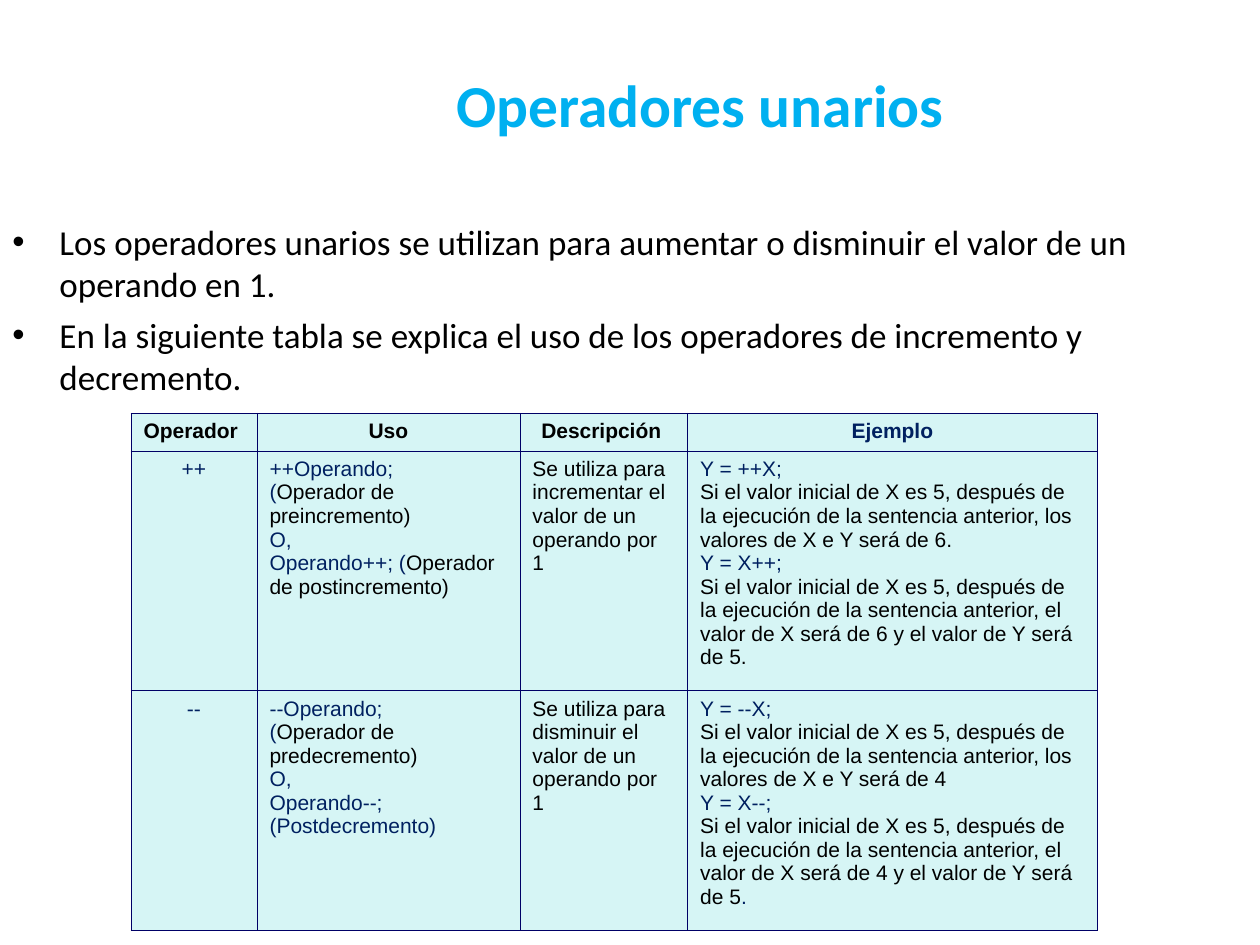
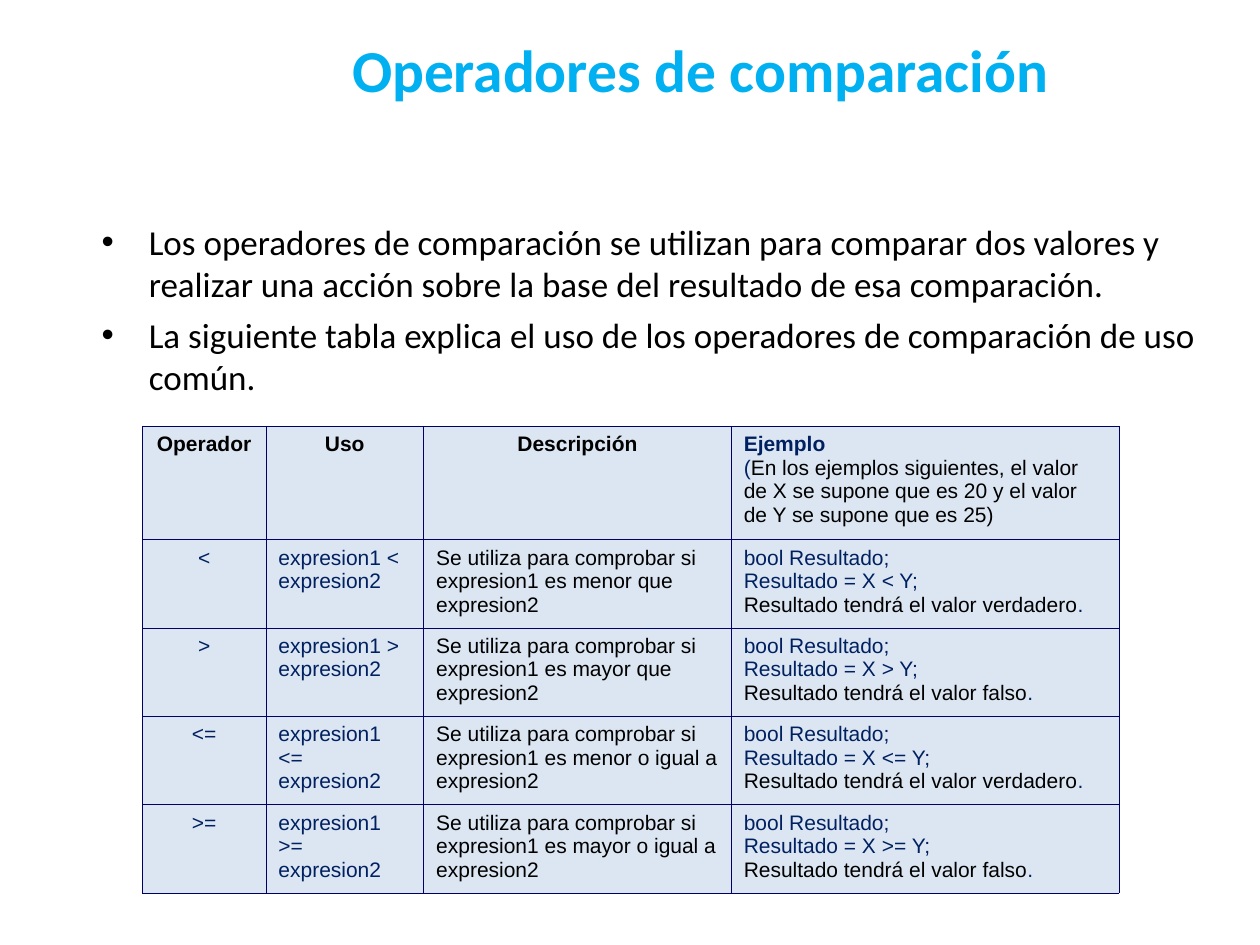
from dataclasses import dataclass

from lxml.etree import SubElement
from pptx import Presentation
from pptx.dml.color import RGBColor
from pptx.enum.text import MSO_ANCHOR, PP_ALIGN
from pptx.oxml.ns import qn
from pptx.util import Cm, Pt


@dataclass(frozen=True)
class Theme:
    title: str = "00B0F0"
    ink: str = "000000"
    code: str = "002060"
    border: str = "000066"
    mint: str = "D6F5F5"
    pale_blue: str = "DCE6F2"
    heading_font: str = "Calibri"
    table_font: str = "Arial"
    title_size: int = 34
    body_size: int = 20
    table_size: int = 12
    border_width: float = 0.45


THEME = Theme()


def write(frame, text, font, size, color=THEME.ink, bold_lines=0,
          align=PP_ALIGN.LEFT, line_spacing=None, space_before=0, bullet=False):
    """One paragraph per line; parts between asterisks take the code colour."""
    frame.word_wrap = True
    for number, line in enumerate(text.split("\n")):
        paragraph = frame.paragraphs[0] if number == 0 else frame.add_paragraph()
        paragraph.alignment = align
        if line_spacing:
            paragraph.line_spacing = line_spacing
        if number and space_before:
            paragraph.space_before = Pt(space_before)
        if bullet:
            properties = paragraph._p.get_or_add_pPr()
            properties.set("marL", str(Cm(0.95)))
            properties.set("indent", str(-Cm(0.95)))
            SubElement(properties, qn("a:buFont"), typeface="Arial")
            SubElement(properties, qn("a:buChar"), char="•")
        for position, part in enumerate(line.split("*")):
            if not part:
                continue
            run = paragraph.add_run()
            run.text = part
            run.font.name = font
            run.font.size = Pt(size)
            run.font.bold = number < bold_lines
            run.font.color.rgb = RGBColor.from_string(
                THEME.code if position % 2 else color)


def outline(cell):
    properties = cell._tc.get_or_add_tcPr()
    for side in ("a:lnL", "a:lnR", "a:lnT", "a:lnB"):
        line = SubElement(properties, qn(side), w=str(Pt(THEME.border_width)))
        fill = SubElement(line, qn("a:solidFill"))
        SubElement(fill, qn("a:srgbClr"), val=THEME.border)


# Unary operators
after_run = ("Si el valor inicial de X es 5, después de la ejecución "
             "de la sentencia anterior, ")
unary_rows = [
    ["Operador", "Uso", "Descripción", "*Ejemplo*"],
    ["*++*",
     "*++Operando;*\n*(*Operador de preincremento)\n*O,*\n"
     "*Operando++; (*Operador de postincremento)",
     "Se utiliza para incrementar el valor de un operando por 1",
     f"*Y = ++X;*\n{after_run}los valores de X e Y será de 6.\n"
     f"*Y = X++;*\n{after_run}el valor de X será de 6 y el valor de Y será de 5."],
    ["*--*",
     "*--Operando;*\n*(*Operador de predecremento)\n*O,*\n"
     "*Operando--; (Postdecremento)*",
     "Se utiliza para disminuir el valor de un operando por 1",
     f"*Y = --X;*\n{after_run}los valores de X e Y será de 4\n"
     f"*Y = X--;*\n{after_run}el valor de X será de 4 y el valor de Y será de 5*.*"],
]

# Comparison operators
comparison_rows = [
    ["Operador", "Uso", "Descripción",
     "*Ejemplo*\n*(*En los ejemplos siguientes, el valor de X se supone que es 20 "
     "y el valor de Y se supone que es 25)"],
]
for operator, relation, outcome in [
    ("<", "menor que", "verdadero"),
    (">", "mayor que", "falso"),
    ("<=", "menor o igual a", "verdadero"),
    (">=", "mayor o igual a", "falso"),
]:
    comparison_rows.append([
        f"*{operator}*",
        f"*expresion1 {operator} expresion2*",
        f"Se utiliza para comprobar si expresion1 es {relation} expresion2",
        f"*bool Resultado;*\n*Resultado = X {operator} Y;*\n"
        f"Resultado tendrá el valor {outcome}*.*",
    ])

# What differs between the slides, in centimetres
topics = [
    dict(title="Operadores unarios", title_top=1.12, intro_left=0,
         intro="Los operadores unarios se utilizan para aumentar o disminuir "
               "el valor de un operando en 1.\n"
               "En la siguiente tabla se explica el uso de los operadores de "
               "incremento y decremento.",
         rows=unary_rows, origin=(2.64, 8.33), widths=[2.54, 5.3, 3.38, 8.26],
         heights=[0.76, 4.83, 4.83], fill=THEME.mint,
         left_header=0, description_margin=0.35),
    dict(title="Operadores de comparación", title_top=0.41, intro_left=1.8,
         intro="Los operadores de comparación se utilizan para comparar dos "
               "valores y realizar una acción sobre la base del resultado de "
               "esa comparación.\n"
               "La siguiente tabla explica el uso de los operadores de "
               "comparación de uso común.",
         rows=comparison_rows, origin=(2.87, 8.59), widths=[2.49, 3.18, 6.2, 7.82],
         heights=[2.29] + [1.78] * 4, fill=THEME.pale_blue,
         left_header=3, description_margin=0.25),
]

presentation = Presentation()
presentation.slide_width = Cm(25.4)
presentation.slide_height = Cm(19.05)

for topic in topics:
    slide = presentation.slides.add_slide(presentation.slide_layouts[6])

    # Title
    title = slide.shapes.add_textbox(
        Cm(3.5), Cm(topic["title_top"]), Cm(21.23), Cm(2.21)).text_frame
    title.vertical_anchor = MSO_ANCHOR.MIDDLE
    write(title, topic["title"], THEME.heading_font, THEME.title_size,
          color=THEME.title, bold_lines=1, align=PP_ALIGN.CENTER, line_spacing=0.8)

    # Introduction
    intro = slide.shapes.add_textbox(
        Cm(topic["intro_left"]), Cm(4.32), Cm(23.6), Cm(12.6)).text_frame
    write(intro, topic["intro"], THEME.heading_font, THEME.body_size,
          space_before=5, bullet=True)

    # Operator table
    rows, widths, heights = topic["rows"], topic["widths"], topic["heights"]
    left, top = topic["origin"]
    operators = slide.shapes.add_table(
        len(rows), len(widths), Cm(left), Cm(top),
        Cm(sum(widths)), Cm(sum(heights))).table
    operators.first_row = operators.horz_banding = False
    for column, width in zip(operators.columns, widths):
        column.width = Cm(width)
    for row, height in zip(operators.rows, heights):
        row.height = Cm(height)

    for row_number, row in enumerate(rows):
        for column_number, text in enumerate(row):
            cell = operators.cell(row_number, column_number)
            outline(cell)
            cell.fill.solid()
            cell.fill.fore_color.rgb = RGBColor.from_string(topic["fill"])
            if column_number == 2:
                cell.margin_right = Cm(topic["description_margin"])
            is_header = row_number == 0
            centred = (column_number != topic["left_header"] if is_header
                       else column_number == 0)
            write(cell.text_frame, text, THEME.table_font, THEME.table_size,
                  bold_lines=1 if is_header else 0,
                  align=PP_ALIGN.CENTER if centred else PP_ALIGN.LEFT)

presentation.save("out.pptx")
